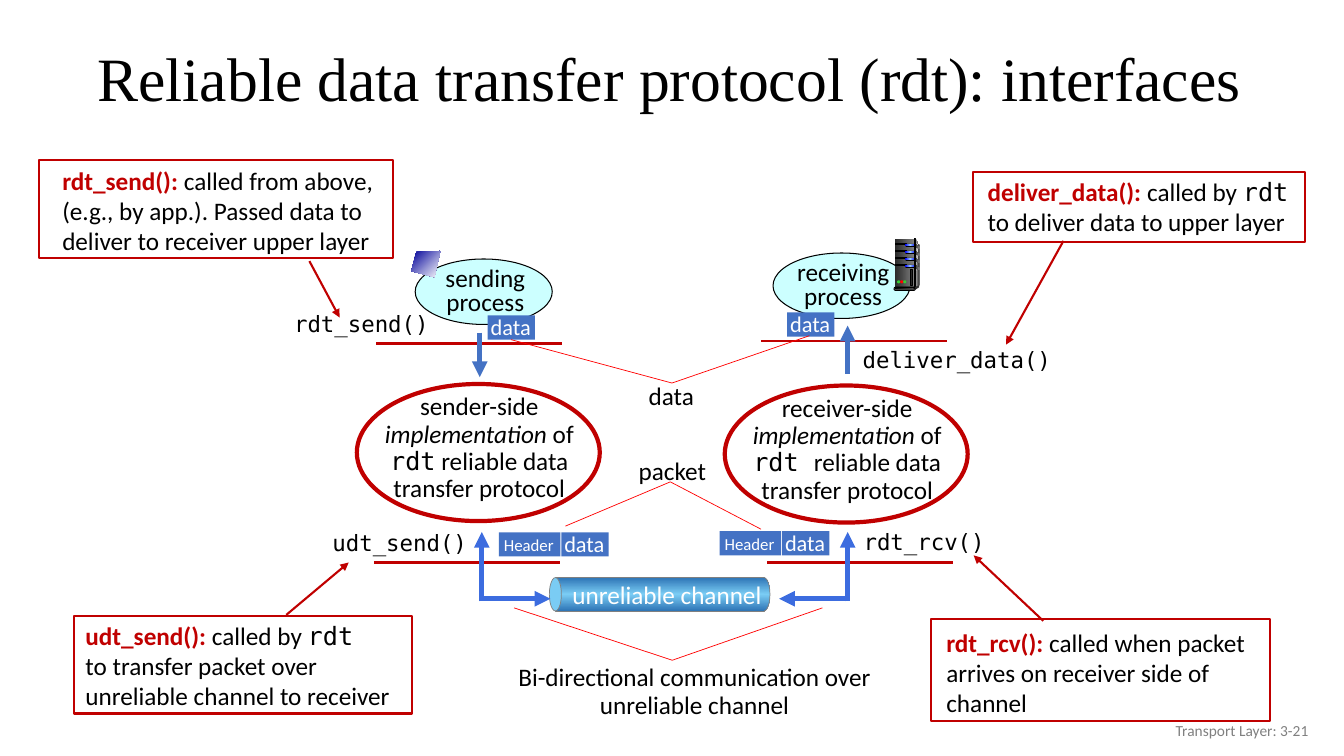
from lxml import etree
from pptx import Presentation
from pptx import util as u
from pptx.dml.color import RGBColor
from pptx.enum import shapes, text
from pptx.oxml.ns import qn

BLACK = RGBColor(0x00, 0x00, 0x00)
WHITE = RGBColor(0xFF, 0xFF, 0xFF)
GRAY = RGBColor(0x80, 0x80, 0x80)
DARK = RGBColor(0x29, 0x29, 0x29)
STEEL = RGBColor(0x33, 0x33, 0x33)
SILVER = RGBColor(0xDD, 0xDD, 0xDD)
PALE = RGBColor(0xF8, 0xF8, 0xF8)
RED = RGBColor(0xC0, 0x00, 0x00)
BRIGHT_RED = RGBColor(0xFF, 0x00, 0x00)
GREEN = RGBColor(0x33, 0xCC, 0x33)
CYAN = RGBColor(0xCC, 0xFF, 0xFF)
BLUE = RGBColor(0x44, 0x72, 0xC4)
ARROW_BLUE = RGBColor(0x3C, 0x6C, 0xDF)
NAVY = RGBColor(0x00, 0x00, 0x99)
PIPE_DARK = RGBColor(0x2E, 0x75, 0xB6)
PIPE_LIGHT = RGBColor(0x7A, 0xCC, 0xF4)
PURE_BLUE = RGBColor(0x00, 0x00, 0xFF)
SKY = RGBColor(0x99, 0xCC, 0xFF)

SANS, MONO, SERIF = "Calibri", "DejaVu Sans Mono", "Times New Roman"
RECT = shapes.MSO_SHAPE.RECTANGLE
ROUND = shapes.MSO_SHAPE.ROUNDED_RECTANGLE
OVAL = shapes.MSO_SHAPE.OVAL
LEFT, CENTER, RIGHT = text.PP_ALIGN.LEFT, text.PP_ALIGN.CENTER, text.PP_ALIGN.RIGHT
PIPE = (PIPE_DARK, PIPE_LIGHT, PIPE_DARK)


def paint(sp, fill=None, line=None, width=0.75, angle=0):
    """Fill with nothing, one colour, or a tuple of evenly spaced gradient colours."""
    sp.shadow.inherit = False
    if fill is None:
        sp.fill.background()
    elif isinstance(fill, RGBColor):
        sp.fill.solid()
        sp.fill.fore_color.rgb = fill
    else:
        sp.fill.gradient()
        sp.fill.gradient_angle = angle
        stops = sp._element.spPr.find(".//" + qn("a:gsLst"))
        for gs in list(stops):
            stops.remove(gs)
        for i, color in enumerate(fill):
            gs = etree.SubElement(stops, qn("a:gs"), pos=str(100000 * i // (len(fill) - 1)))
            etree.SubElement(gs, qn("a:srgbClr"), val=str(color))
    if line is None:
        sp.line.fill.background()
    else:
        sp.line.color.rgb = line
        sp.line.width = u.Pt(width)


def add_box(s, kind, x, y, w, h, fill=None, line=None, width=0.75, angle=0):
    sp = s.shapes.add_shape(kind, u.Pt(x), u.Pt(y), u.Pt(w), u.Pt(h))
    if kind == ROUND:
        sp.adjustments[0] = 0.5
    paint(sp, fill, line, width, angle)


def add_outline(s, points, fill, angle=0):
    pts = [(u.Pt(x), u.Pt(y)) for x, y in points]
    fb = s.shapes.build_freeform(*pts[0])
    fb.add_line_segments(pts[1:], close=True)
    paint(fb.convert_to_shape(), fill, angle=angle)


def add_line(s, x1, y1, x2, y2, color, width, arrow=False):
    c = s.shapes.add_connector(shapes.MSO_CONNECTOR.STRAIGHT,
                               u.Pt(x1), u.Pt(y1), u.Pt(x2), u.Pt(y2))
    c.line.color.rgb = color
    c.line.width = u.Pt(width)
    if arrow:
        etree.SubElement(c.line._get_or_add_ln(), qn("a:tailEnd"), type="triangle")
    etree.SubElement(c._element.spPr, qn("a:effectLst"))


def run(words, font=SANS, color=BLACK, bold=False, italic=False):
    return words, font, color, bold, italic


def add_text(s, x, y, w, h, paragraphs, size=18, align=LEFT, spacing=1.0,
             middle=False, wrap=True):
    tf = s.shapes.add_textbox(u.Pt(x), u.Pt(y), u.Pt(w), u.Pt(h)).text_frame
    tf.word_wrap = wrap
    if middle:
        tf.vertical_anchor = text.MSO_ANCHOR.MIDDLE
    for i, runs in enumerate(paragraphs):
        p = tf.add_paragraph() if i else tf.paragraphs[0]
        p.alignment = align
        p.line_spacing = spacing
        for words, font, color, bold, italic in runs:
            r = p.add_run()
            r.text = words
            r.font.name, r.font.size = font, u.Pt(size)
            r.font.color.rgb = color
            r.font.bold, r.font.italic = bold, italic


def add_data_tag(s, x, y):
    add_box(s, RECT, x, y, 33.8, 17.3, BLUE)
    add_text(s, x - 5, y - 5, 45.4, 26.6, [[run("data", color=WHITE)]], 16)


def add_packet(s, x, y):
    add_data_tag(s, x + 44.6, y)
    add_box(s, RECT, x, y, 43.9, 17.3, BLUE)
    add_text(s, x - 3.6, y - 2, 54, 21.6, [[run("Header", color=WHITE)]], 12)


def add_process(s, x, y, words, tag_dx, tag_dy):
    add_box(s, OVAL, x, y, 97.9, 46.8, CYAN, BLACK)
    add_text(s, x + 6.5, y + 2.9, 87.1, 42.5, [[run(words)]], align=CENTER, spacing=0.8)
    add_data_tag(s, x + tag_dx, y + tag_dy)


def add_server(s):
    add_outline(s, [(653.8, 170.6), (656.6, 175), (656.6, 203.8), (653, 205.9)], (SILVER, STEEL))
    add_box(s, RECT, 639.4, 170.6, 13.7, 35.3, (DARK, GRAY))
    add_outline(s, [(653.8, 172.8), (656, 175.7), (654.5, 190), (653.8, 204.5)], (GRAY, PALE))
    for bay in range(4):
        y = 174.2 + 5 * bay
        add_box(s, RECT, 639.4, y, 7.9, 0.7, BLACK, BLACK)
        add_box(s, ROUND, 646.6, y, 7.2, 2.2, BLACK)
        add_box(s, ROUND, 646.6, y, 7.2, 1.4, (PURE_BLUE, SKY, PURE_BLUE))
        add_outline(s, [(653.4, y), (656.6, y + 2), (656.6, y + 3.6), (653.4, y + 1.4)],
                    (DARK, GRAY))
    add_box(s, RECT, 653, 170.6, 0.7, 35.3, (STEEL, SILVER, STEEL), BLACK)
    add_outline(s, [(653, 205.2), (653, 207.4), (656.6, 205.2), (656.6, 203.8)], STEEL)
    add_box(s, ROUND, 638.6, 205.2, 15.1, 2.2, SILVER, BLACK)
    add_box(s, ROUND, 639.4, 205.2, 13.7, 1.4, (BLACK, GRAY), BLACK)
    for i, color in enumerate((GREEN, BRIGHT_RED, GREEN)):
        add_box(s, OVAL, 640.8 + 2.2 * i, 200.2, 2.2, 2.2, color)
    add_box(s, RECT, 650.2, 192.2, 1.4, 11.5, DARK, BLACK)


def add_channel(s):
    add_box(s, RECT, 396.7, 412.6, 149, 23.8, PIPE, GRAY, 0.5, 90)
    add_box(s, OVAL, 392.4, 412.6, 8.6, 23.8, PIPE_LIGHT, GRAY, 0.5)
    add_box(s, OVAL, 541.4, 412.6, 8.6, 23.8, PIPE, GRAY, 0.5, 90)
    add_box(s, RECT, 530.6, 412.6, 15.1, 23.8, PIPE, angle=90)
    add_text(s, 401.8, 410.4, 151.2, 28.8, [[run("unreliable channel", color=WHITE)]], wrap=False)


def add_protocol(s, x, y, side, rdt_runs):
    add_box(s, OVAL, x, y, 173.5, 97.9, None, RED, 3)
    add_text(s, x + 8.6, y + 3.6, 157.7, 85.7,
             [[run(side)], [run("implementation", italic=True), run(" of "), *rdt_runs]],
             align=CENTER, spacing=0.9)


def add_callout(s, frame, text_at, arrow, paragraphs):
    add_text(s, *text_at, paragraphs)
    add_line(s, *arrow, RED, 1.5, True)
    add_box(s, RECT, *frame, None, RED, 1.5)


def add_pointer(s, label_at, words, left, tip, right):
    add_text(s, *label_at, [[run(words)]], align=CENTER, spacing=0.9)
    for end in (left, right):
        add_line(s, *end, *tip, BRIGHT_RED, 0.5)


def main():
    prs = Presentation()
    prs.slide_width, prs.slide_height = u.Pt(960), u.Pt(540)
    s = prs.slides.add_slide(prs.slide_layouts[6])
    add_text(s, 62.6, 23, 874.1, 70.6,
             [[run("Reliable data transfer protocol (rdt): interfaces", SERIF)]],
             44, spacing=0.9, middle=True)

    # Application processes
    add_process(s, 296.6, 185, "sending process", 51.8, 40.3)
    add_outline(s, [(314.6, 179.3), (297.4, 180), (293.8, 193.7), (310.3, 198)],
                (NAVY, WHITE), 315)
    add_process(s, 552.2, 180.7, "receiving process", 10.1, 42.5)
    add_server(s)

    # Layer boundaries and channel
    for x, y in ((268.6, 245.5), (543.6, 243.4), (267.1, 401.8), (547.9, 401.8)):
        add_line(s, x, y, x + 132.8, y, RED, 1.75)
    add_channel(s)

    # Data flow arrows
    add_line(s, 342.7, 237.6, 342.7, 269.3, BLUE, 3.75, True)
    add_line(s, 605.5, 267.1, 605.5, 232.6, BLUE, 3.75, True)
    for x, corner, end in ((344.2, 343.4, 393.1), (605.5, 606.2, 556.6)):
        add_line(s, x, 429.5, x, 380, ARROW_BLUE, 3.75, True)
        add_line(s, corner, 427.7, end, 427.7, ARROW_BLUE, 3.75, True)

    # Protocol sides
    add_protocol(s, 254.9, 274.3, "sender-side",
                 [run("rdt", MONO), run(" reliable data transfer protocol")])
    add_protocol(s, 517.7, 275.4, "receiver-side",
                 [run("rdt ", MONO), run("reliable data transfer protocol")])

    # Interface calls and packets
    for x, y, call in ((203, 218.2, "rdt_send()"), (230.4, 374.4, "udt_send()"),
                       (609.8, 373.7, "rdt_rcv()"), (609.1, 243.4, "deliver_data()")):
        add_text(s, x, y, 152.6, 26.6, [[run(call, MONO)]], 16)
    add_packet(s, 356.4, 380.2)
    add_packet(s, 514.1, 379.4)

    # Callouts
    add_callout(s, (28.1, 114.5, 252.7, 69.8), (37.4, 114.5, 236.9, 72.7),
                (221, 186.5, 242.6, 226.8),
                [[run("rdt_send(): ", color=RED, bold=True),
                  run("called from above, (e.g., by app.). Passed data to "
                      "deliver to receiver upper layer")]])
    add_callout(s, (52.6, 439.9, 241.9, 69.8), (54, 439.2, 234.7, 72),
                (204.5, 439.2, 249.1, 401.8),
                [[run("udt_send(): ", color=RED, bold=True), run("called by "), run("rdt", MONO)],
                 [run("to transfer packet over")], [run("unreliable channel to receiver")]])
    add_callout(s, (665.3, 442.1, 241.9, 72.7), (668.9, 444.2, 241.9, 72.7),
                (745.2, 443.5, 695.5, 396.7),
                [[run("rdt_rcv(): ", color=RED, bold=True),
                  run("called when packet arrives on receiver side of channel")]])
    add_callout(s, (694.8, 123.1, 237.6, 49.7), (698.4, 122.4, 237.6, 51.1),
                (759.6, 172.1, 718.6, 246.2),
                [[run("deliver_data(): ", color=RED, bold=True), run("called by "),
                  run("rdt ", MONO), run("to deliver data to upper layer")]])

    # Pointers
    add_pointer(s, (345.6, 471.6, 301, 46.8), "Bi-directional communication over unreliable channel",
                (367.2, 434.2), (480.2, 471.6), (587.5, 434.2))
    add_pointer(s, (329, 270.7, 301, 26.6), "data", (365, 242.6), (480, 273.6), (578.2, 239.8))
    add_pointer(s, (435.6, 324, 89.3, 26.6), "packet", (403.9, 375.8), (478.8, 344.2), (543.6, 378))

    # Footer
    add_text(s, 725.8, 507.6, 216, 28.8, [[run("Transport Layer: 3-21", color=GRAY)]],
             11, RIGHT, middle=True)
    prs.save("out.pptx")


if __name__ == "__main__":
    main()
